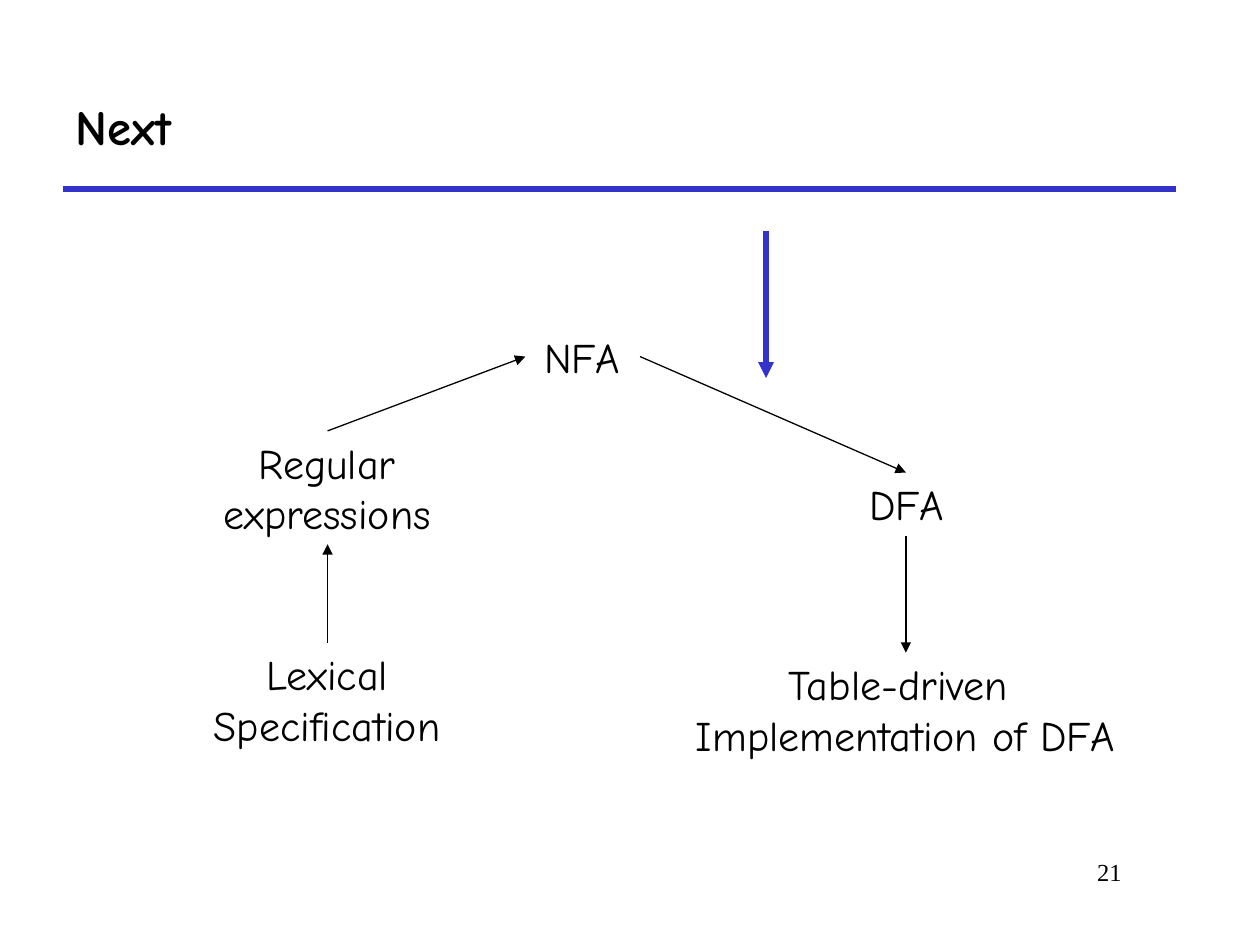
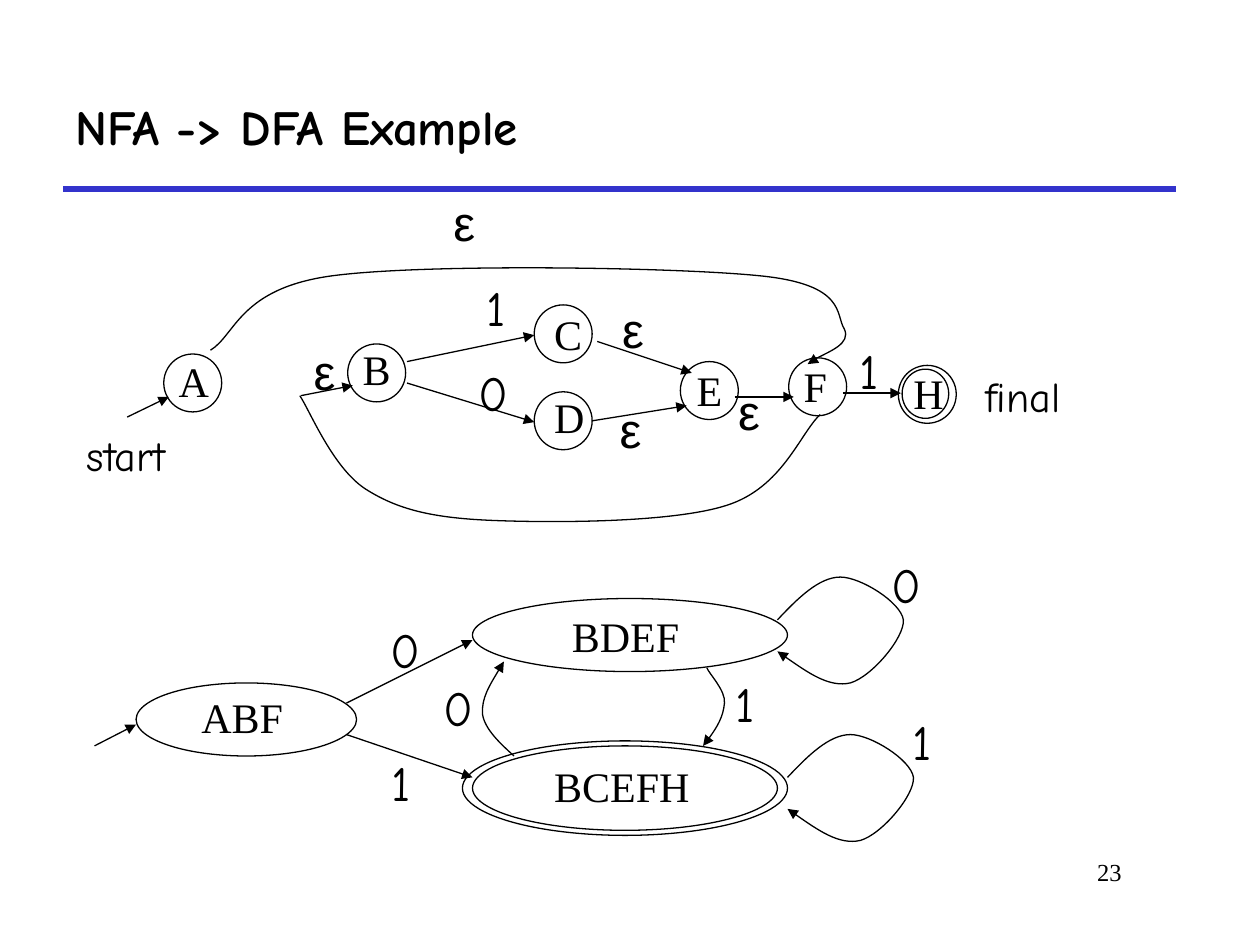
import dataclasses
import typing

import lxml.etree
import pptx
import pptx.dml.color
import pptx.enum.shapes
import pptx.enum.text
import pptx.oxml.ns
import pptx.util

Inches = pptx.util.Inches
qn = pptx.oxml.ns.qn
ALIGN = pptx.enum.text.PP_ALIGN

BLACK, BLUE = "000000", "3333CC"
HAND, SERIF, SANS = "Comic Neue", "Times New Roman", "Arial"
THIN, THICK = 0.75, 3
CIRCLE = 0.46
SYMBOL_WIDTHS = {"0": 0.43, "1": 0.35, "ε": 0.37}


def rgb(hex_colour):
    return pptx.dml.color.RGBColor.from_string(hex_colour)


def style_line(sp, colour=BLACK, width=THIN, arrow=False):
    sp.line.color.rgb = rgb(colour)
    sp.line.width = pptx.util.Pt(width)
    if arrow:
        ln = sp.element.find(".//" + qn("a:ln"))
        lxml.etree.SubElement(ln, qn("a:tailEnd"), type="triangle")


@dataclasses.dataclass
class Region:
    """An area of a slide; everything is placed from its top left corner."""
    slide: typing.Any
    left: float
    top: float

    def point(self, x, y):
        return Inches(self.left + x), Inches(self.top + y)

    def text(self, x, y, w, h, lines, size=24, font=HAND, align=ALIGN.LEFT,
             bold=False, wrap=False):
        tb = self.slide.shapes.add_textbox(*self.point(x, y), Inches(w), Inches(h))
        tf = tb.text_frame
        tf.word_wrap = wrap
        if not wrap:
            tf.auto_size = pptx.enum.text.MSO_AUTO_SIZE.SHAPE_TO_FIT_TEXT
        for i, line in enumerate(lines):
            p = tf.add_paragraph() if i else tf.paragraphs[0]
            p.alignment = align
            r = p.add_run()
            r.text = line
            r.font.name, r.font.size, r.font.bold = font, pptx.util.Pt(size), bold
            r.font.color.rgb = rgb(BLACK)
        return tf

    def line(self, x1, y1, x2, y2, colour=BLACK, width=THIN, arrow=True):
        cx = self.slide.shapes.add_connector(
            pptx.enum.shapes.MSO_CONNECTOR.STRAIGHT,
            *self.point(x1, y1), *self.point(x2, y2))
        style_line(cx, colour, width, arrow)
        lxml.etree.SubElement(cx.element.spPr, qn("a:effectLst"))

    def ellipse(self, x, y, w=CIRCLE, h=CIRCLE):
        sp = self.slide.shapes.add_shape(
            pptx.enum.shapes.MSO_SHAPE.OVAL, *self.point(x, y), Inches(w), Inches(h))
        sp.fill.background()
        sp.shadow.inherit = False
        style_line(sp)

    def curve(self, points, arrow=True):
        """Draw Bezier segments: a start, then two controls and an end for each."""
        start, *rest = [self.point(x, y) for x, y in points]
        fb = self.slide.shapes.build_freeform(*start)
        fb.add_line_segments(rest, close=False)
        sp = fb.convert_to_shape()
        outline = sp.element.find(".//" + qn("a:path"))
        steps = outline.findall(qn("a:lnTo"))
        for i in range(0, len(steps), 3):
            bezier = lxml.etree.SubElement(outline, qn("a:cubicBezTo"))
            for step in steps[i:i + 3]:
                bezier.append(step[0])
                outline.remove(step)
        sp.fill.background()
        sp.shadow.inherit = False
        style_line(sp, arrow=arrow)

    def state(self, name, x, y, dx, dy, label_w, w=CIRCLE, h=CIRCLE):
        self.ellipse(x, y, w, h)
        self.text(x + dx, y + dy, label_w, 0.5, [name], font=SERIF)

    def symbol(self, char, x, y):
        self.text(x, y, SYMBOL_WIDTHS[char], 0.57, [char], size=28,
                  font=SANS if char == "ε" else HAND)


def add_slide(prs, title, number):
    """Blank slide with the shared title, rule and page number."""
    s = prs.slides.add_slide(prs.slide_layouts[6])
    page = Region(s, 0, 0)
    page.line(0.5, 1.5, 9.33, 1.5, BLUE, THICK, arrow=False)
    page.text(7.58, 6.75, 1.42, 0.5, [str(number)], size=14, font=SERIF,
              align=ALIGN.RIGHT, wrap=True)
    tf = page.text(0.5, 0.5, 8.83, 1, [title], size=28, bold=True, wrap=True)
    tf.vertical_anchor = pptx.enum.text.MSO_ANCHOR.MIDDLE
    return s


def draw_pipeline(box):
    # Stages
    for x, y, w, lines in [
        (0.12, 1.92, 1.95, ["Regular", "expressions"]),
        (2.67, 1.08, 0.9, ["NFA"]),
        (5.25, 2.25, 0.89, ["DFA"]),
        (0.05, 3.6, 2.09, ["Lexical", "Specification"]),
        (3.87, 3.68, 3.63, ["Table-driven ", "Implementation of DFA"]),
    ]:
        box.text(x, y, w, 0.1 + 0.4 * len(lines), lines, align=ALIGN.CENTER)
    # Steps between stages
    for ends in [(1.1, 3.6, 1.1, 2.82), (1.1, 1.92, 2.67, 1.33),
                 (3.58, 1.33, 5.69, 2.25), (5.69, 2.75, 5.69, 3.68)]:
        box.line(*ends)
    # Marker of the next step
    box.line(4.58, 0.33, 4.58, 1.5, BLUE, THICK)


def draw_nfa(box):
    # States, with label offset and label width
    for state in [
        ("A", 0.8, 1.31, 0.02, -0.04, 0.44),
        ("B", 2.26, 1.23, 0.02, -0.05, 0.42),
        ("C", 3.74, 0.92, 0.06, -0.02, 0.42),
        ("D", 3.74, 1.61, 0.06, -0.05, 0.44),
        ("E", 4.9, 1.37, 0.03, -0.03, 0.4),
        ("F", 5.76, 1.34, 0.02, -0.03, 0.38),
        ("H", 6.63, 1.4, 0.02, -0.03, 0.44),
    ]:
        box.state(*state)
    box.ellipse(6.66, 1.43, 0.37, 0.39)
    # Straight transitions
    for ends in [
        (0.51, 1.81, 0.84, 1.65), (1.89, 1.64, 2.3, 1.56),
        (2.73, 1.37, 3.74, 1.16), (2.73, 1.54, 3.74, 1.85),
        (4.24, 1.21, 4.99, 1.46), (4.2, 1.84, 4.95, 1.72),
        (5.33, 1.65, 5.8, 1.65), (6.19, 1.62, 6.65, 1.62),
    ]:
        box.line(*ends)
    # A to F above, F back to B below
    box.curve([(1.17, 1.28), (1.37, 1.16), (1.4, 0.79), (2.13, 0.69),
               (2.86, 0.59), (4.87, 0.62), (5.54, 0.69),
               (6.22, 0.76), (6.13, 1), (6.2, 1.11),
               (6.26, 1.23), (5.96, 1.34), (5.91, 1.39)])
    box.curve([(1.88, 1.64), (1.96, 1.76), (2.14, 2.21), (2.4, 2.38),
               (2.65, 2.54), (2.92, 2.61), (3.4, 2.63),
               (3.88, 2.65), (4.84, 2.65), (5.27, 2.51),
               (5.71, 2.37), (5.85, 1.94), (6.01, 1.79)], arrow=False)
    # Transition symbols
    for symbol in [
        ("ε", 3, -0.02), ("ε", 1.89, 1.16), ("1", 3.26, 0.65), ("0", 3.2, 1.33),
        ("ε", 4.34, 0.83), ("ε", 4.32, 1.62), ("ε", 5.26, 1.48), ("1", 6.22, 1.15),
    ]:
        box.symbol(*symbol)
    box.text(0.09, 1.86, 0.83, 0.5, ["start"])
    box.text(7.22, 1.39, 0.8, 0.5, ["final"])


def draw_dfa(box):
    # States; the accepting one has a second outline
    box.state("ABF", 0.58, 0.92, 0.42, 0.02, 0.87, 1.75, 0.58)
    box.state("BDEF", 3.25, 0.25, 0.69, 0.05, 1.07, 2.5, 0.58)
    box.state("BCEFH", 3.25, 1.42, 0.55, 0.07, 1.32, 2.42, 0.67)
    box.ellipse(3.17, 1.38, 2.58, 0.75)
    # Straight transitions
    for ends in [(0.25, 1.42, 0.58, 1.25), (2.25, 1.08, 3.25, 0.58),
                 (2.25, 1.33, 3.25, 1.67)]:
        box.line(*ends)
    # Self loops
    loop = [(0, 0), (0.16, -0.17), (0.33, -0.34), (0.5, -0.34),
            (0.66, -0.34), (0.98, -0.14), (1, 0),
            (1.01, 0.14), (0.75, 0.45), (0.58, 0.5),
            (0.41, 0.54), (0.2, 0.39), (0, 0.25)]
    for x, y in [(5.67, 0.42), (5.75, 1.67)]:
        box.curve([(x + dx, y + dy) for dx, dy in loop])
    # Transitions between the two right-hand states
    box.curve([(3.58, 1.5), (3.47, 1.4), (3.35, 1.29), (3.33, 1.17),
               (3.32, 1.04), (3.41, 0.9), (3.5, 0.75)])
    box.curve([(5.11, 0.8), (5.13, 0.85), (5.26, 0.98), (5.25, 1.08),
               (5.24, 1.19), (5.17, 1.31), (5.08, 1.42)])
    # Transition symbols
    for symbol in [("0", 2.5, 0.37), ("1", 2.51, 1.42), ("0", 6.48, -0.15),
                   ("1", 6.64, 1.1), ("0", 2.92, 0.83), ("1", 5.24, 0.8)]:
        box.symbol(*symbol)


def main():
    prs = pptx.Presentation()
    prs.slide_width, prs.slide_height = Inches(10), Inches(7.5)

    s = add_slide(prs, "Next", 21)
    draw_pipeline(Region(s, 1.5, 1.5))

    s = add_slide(prs, "NFA -> DFA Example", 23)
    draw_nfa(Region(s, 0.5, 1.5))
    draw_dfa(Region(s, 0.5, 4.5))

    prs.save("out.pptx")


if __name__ == "__main__":
    main()
